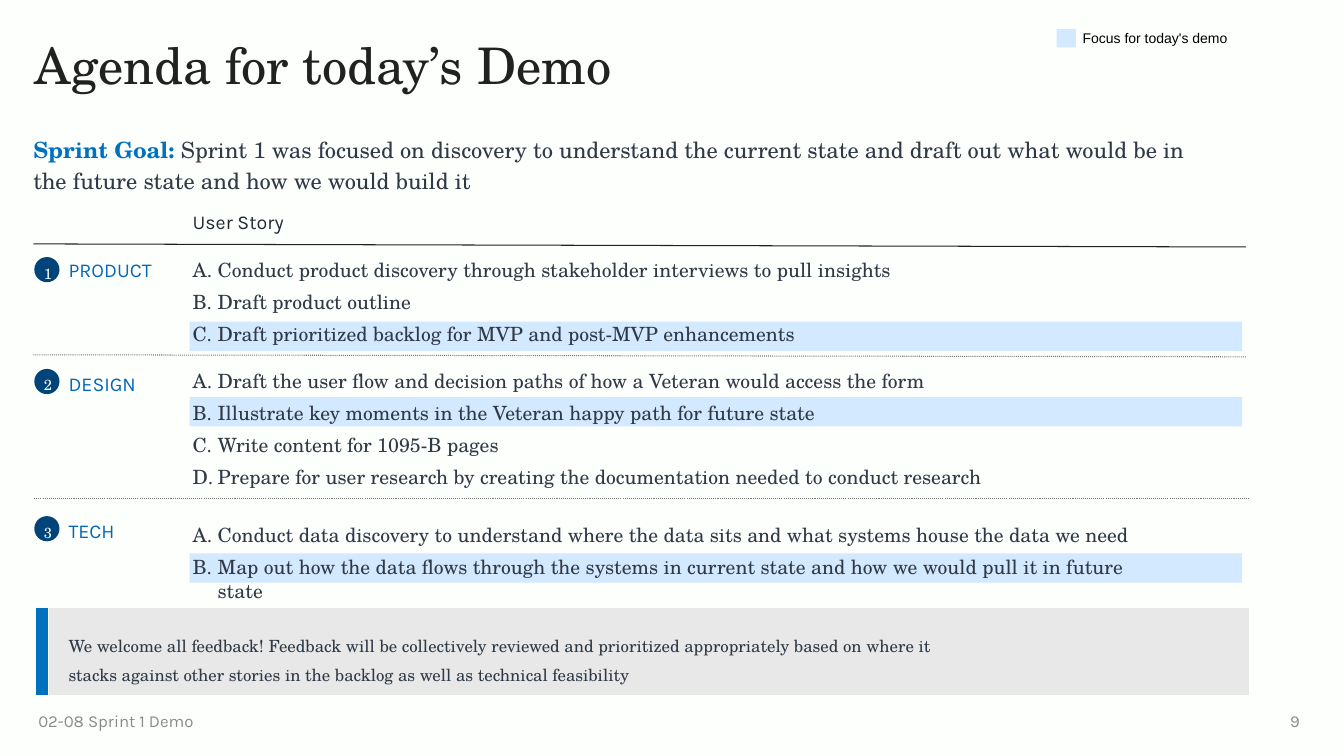
from pptx import Presentation
from pptx.dml.color import RGBColor
from pptx.enum.dml import MSO_LINE
from pptx.enum.shapes import MSO_CONNECTOR, MSO_SHAPE
from pptx.enum.text import MSO_ANCHOR, PP_ALIGN
from pptx.oxml.ns import qn
from pptx.util import Inches, Pt
from lxml import etree

RECTANGLE = MSO_SHAPE.RECTANGLE
OVAL = MSO_SHAPE.OVAL
STRAIGHT = MSO_CONNECTOR.STRAIGHT
DOTTED = MSO_LINE.ROUND_DOT
TOP = MSO_ANCHOR.TOP
MIDDLE = MSO_ANCHOR.MIDDLE
LEFT = PP_ALIGN.LEFT
CENTER = PP_ALIGN.CENTER
RIGHT = PP_ALIGN.RIGHT

PAPER = RGBColor(0xFD, 0xFF, 0xFD)
INK = RGBColor(0x20, 0x21, 0x20)
SLATE = RGBColor(0x30, 0x3A, 0x46)
HEADER = RGBColor(0x24, 0x2B, 0x34)
BLUE = RGBColor(0x00, 0x71, 0xBF)
TRACK_BLUE = RGBColor(0x04, 0x67, 0xB8)
NAVY = RGBColor(0x01, 0x44, 0x79)
FOCUS = RGBColor(0xD3, 0xE9, 0xFF)
DIVIDER = RGBColor(0x74, 0x7C, 0x74)
FOOTER = RGBColor(0x8A, 0x8A, 0x8A)
PANEL = RGBColor(0xE8, 0xE8, 0xE8)
BLACK = RGBColor(0x00, 0x00, 0x00)

SERIF = "TeX Gyre Schola"
SANS = "Karla"
NO_INSETS = (0, 0, 0, 0)
BOX_INSETS = (0.1, 0.05, 0.1, 0.05)

TRACKS = [
    ("PRODUCT", 2.55, 2.56, 2.56, 9.23, [
        "Conduct product discovery through stakeholder interviews to pull insights",
        "Draft product outline",
        "Draft prioritized backlog for MVP and post-MVP enhancements",
    ]),
    ("DESIGN", 3.66, 3.69, 3.66, 9.46, [
        "Draft the user flow and decision paths of how a Veteran would access the form",
        "Illustrate key moments in the Veteran happy path for future state",
        "Write content for 1095-B pages",
        "Prepare for user research by creating the documentation needed to conduct research",
    ]),
    ("TECH", 5.12, 5.15, 5.19, 9.7, [
        "Conduct data discovery to understand where the data sits and what systems house the data we need",
        "Map out how the data flows through the systems in current state and how we would pull it in future state",
    ]),
]
FEEDBACK = (
    "We welcome all feedback! Feedback will be collectively reviewed and prioritized "
    "appropriately based on where it stacks against other stories in the backlog "
    "as well as technical feasibility"
)


def write(paragraph, text, size=14, color=SLATE, font=SERIF, bold=False,
          align=LEFT, spacing=None):
    paragraph.alignment = align
    if spacing:
        paragraph.line_spacing = spacing
    run = paragraph.add_run()
    run.text = text
    run.font.size = Pt(size)
    run.font.name = font
    run.font.bold = bold
    run.font.color.rgb = color


def set_insets(holder, insets):
    (holder.margin_left, holder.margin_top,
     holder.margin_right, holder.margin_bottom) = map(Inches, insets)


def add_text(slide, box, text, insets=NO_INSETS, anchor=TOP, **style):
    frame = slide.shapes.add_textbox(*map(Inches, box)).text_frame
    frame.word_wrap = True
    frame.vertical_anchor = anchor
    set_insets(frame, insets)
    write(frame.paragraphs[0], text, **style)
    return frame


def add_block(slide, kind, box, color):
    block = slide.shapes.add_shape(kind, *map(Inches, box))
    block.shadow.inherit = False
    block.fill.solid()
    block.fill.fore_color.rgb = color
    block.line.fill.background()
    return block


def add_rule(slide, start, end, color, dash=None):
    rule = slide.shapes.add_connector(STRAIGHT, *map(Inches, start + end))
    rule.line.color.rgb = color
    rule.line.width = Pt(0.75)
    if dash:
        rule.line.dash_style = dash
    etree.SubElement(rule._element.spPr, qn("a:effectLst"))


def add_letter(paragraph):
    properties = paragraph._p.get_or_add_pPr()
    properties.set("marL", str(Inches(0.25)))
    properties.set("indent", str(Inches(-0.25)))
    bullet_color = etree.SubElement(properties, qn("a:buClr"))
    etree.SubElement(bullet_color, qn("a:srgbClr"), val=str(SLATE))
    etree.SubElement(properties, qn("a:buAutoNum"), type="alphaUcPeriod")


def add_stories(slide, top, width, stories):
    frame = add_text(slide, (1.91, top, width, 0.3 * len(stories)), stories[0])
    for story in stories[1:]:
        paragraph = frame.add_paragraph()
        paragraph.space_before = Pt(6)
        write(paragraph, story)
    for paragraph in frame.paragraphs:
        add_letter(paragraph)


def add_badge(slide, top, number):
    badge = add_block(slide, OVAL, (0.34, top, 0.25, 0.25), NAVY)
    badge.text_frame.vertical_anchor = MIDDLE
    set_insets(badge.text_frame, (0.06, 0.06, 0.06, 0.06))
    write(badge.text_frame.paragraphs[0], str(number), size=10.5,
          color=PAPER, align=CENTER, spacing=1.4)


def style_cell(cell, color):
    properties = cell._tc.get_or_add_tcPr()
    for side, width in (("L", 1), ("R", 1), ("T", 1), ("B", 3)):
        border = etree.SubElement(properties, qn(f"a:ln{side}"), w=str(Pt(width)))
        fill = etree.SubElement(border, qn("a:solidFill"))
        etree.SubElement(fill, qn("a:srgbClr"), val=str(PAPER))
    cell.fill.solid()
    cell.fill.fore_color.rgb = color


def add_feedback(slide):
    table = slide.shapes.add_table(
        1, 2, *map(Inches, (0.35, 6.03, 12.04, 0.85))).table
    table.first_row = False
    table.horz_banding = False
    table.columns[0].width = Inches(0.13)
    table.columns[1].width = Inches(11.91)
    accent, message = table.cell(0, 0), table.cell(0, 1)
    style_cell(accent, BLUE)
    style_cell(message, PANEL)
    set_insets(accent, NO_INSETS)
    set_insets(message, (0.2, 0.2, 2.9, 0.2))
    write(message.text_frame.paragraphs[0], FEEDBACK, size=12, spacing=1.2)


def main():
    deck = Presentation()
    deck.slide_width = Inches(13.33)
    deck.slide_height = Inches(7.5)
    slide = deck.slides.add_slide(deck.slide_layouts[6])
    slide.background.fill.solid()
    slide.background.fill.fore_color.rgb = PAPER

    for top in (3.19, 3.94, 5.49):
        add_block(slide, RECTANGLE, (1.88, top, 10.44, 0.29), FOCUS)

    add_text(slide, (0.34, 0.41, 12.42, 0.56), "Agenda for today’s Demo",
             size=36, color=INK, spacing=0.9)
    goal = add_text(slide, (0.33, 1.31, 11.72, 0.59), "Sprint Goal: ",
                    size=16, color=BLUE, bold=True, spacing=1.15)
    write(goal.paragraphs[0],
          "Sprint 1 was focused on discovery to understand the current state and "
          "draft out what would be in the future state and how we would build it",
          size=16)

    add_text(slide, (1.91, 2.08, 10.85, 0.24), "User Story", color=HEADER, font=SANS)
    add_rule(slide, (0.33, 2.42), (12.36, 2.45), INK)
    add_rule(slide, (0.33, 3.52), (12.36, 3.54), DIVIDER, DOTTED)
    add_rule(slide, (0.34, 4.95), (12.38, 4.95), DIVIDER, DOTTED)

    for number, track in enumerate(TRACKS, 1):
        name, badge_top, name_top, stories_top, width, stories = track
        add_badge(slide, badge_top, number)
        add_text(slide, (0.68, name_top, 0.97, 0.24), name,
                 color=TRACK_BLUE, font=SANS)
        add_stories(slide, stories_top, width, stories)

    add_feedback(slide)
    add_text(slide, (12.55, 6.95, 0.44, 0.4), "9", BOX_INSETS, MIDDLE,
             size=12, color=FOOTER, font=SANS, align=RIGHT)
    add_text(slide, (0.33, 6.95, 1.8, 0.4), "02-08 Sprint 1 Demo",
             (0.05, 0.05, 0.1, 0.05), MIDDLE, size=12, color=FOOTER, font=SANS)

    add_block(slide, RECTANGLE, (10.48, 0.29, 0.19, 0.18), FOCUS)
    add_text(slide, (10.64, 0.24, 2.6, 0.27), "Focus for today's demo",
             BOX_INSETS, size=10, color=BLACK, font="Arial")

    deck.save("out.pptx")


if __name__ == "__main__":
    main()
